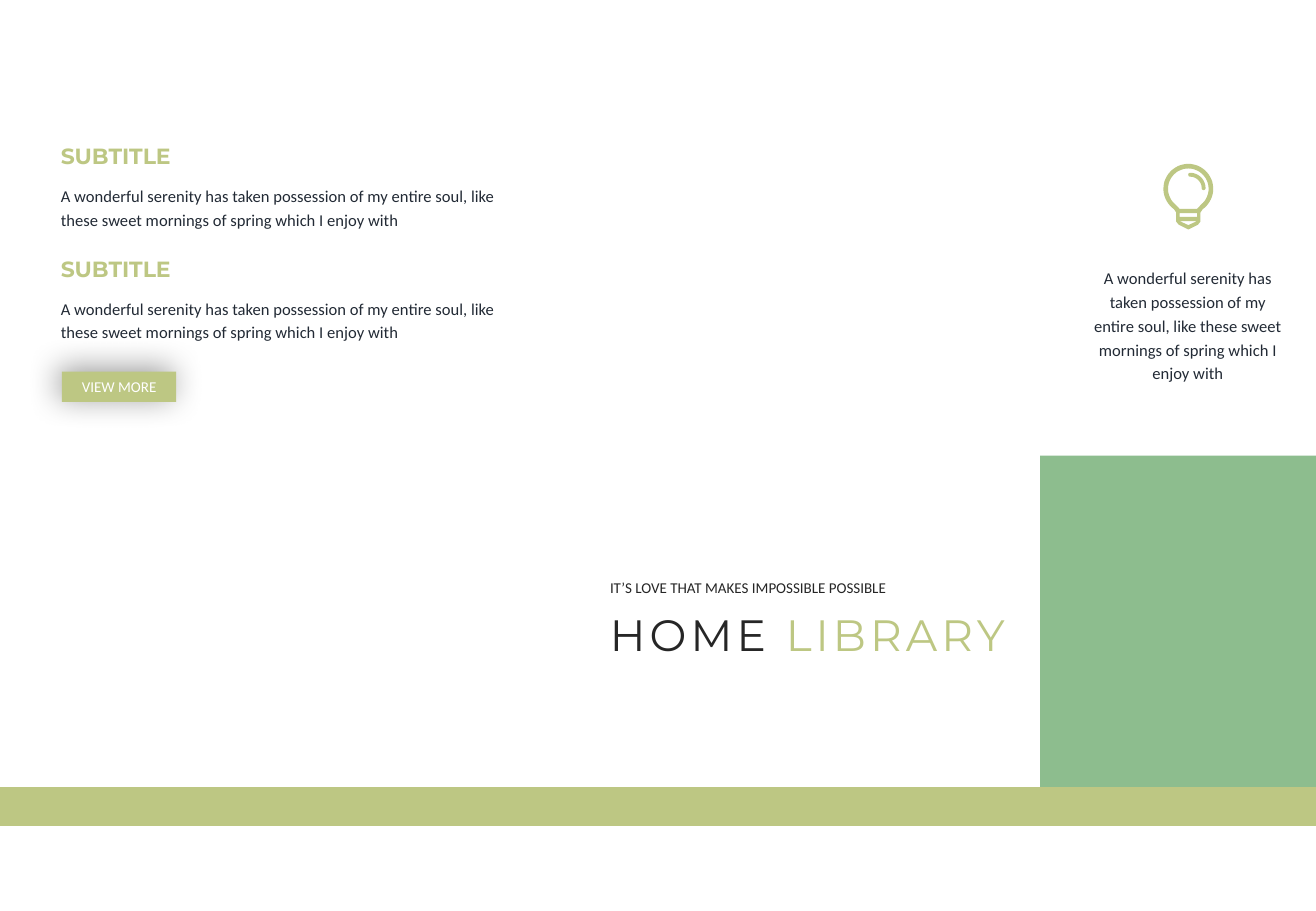
import dataclasses
import math

import lxml.etree
import pptx
import pptx.dml.color
import pptx.enum.shapes
import pptx.enum.text
import pptx.oxml.ns
import pptx.util

SLIDE_WIDTH = pptx.util.Inches(10.83)
SLIDE_HEIGHT = pptx.util.Inches(7.5)
COLORS = {"olive": "BDC783", "green": "8DBD8E", "ink": "262626",
          "navy": "222A35", "white": "FFFFFF", "black": "000000"}
SERENITY = ("A wonderful serenity has taken possession of my entire soul, like "
            "these sweet mornings of spring which I enjoy with")
LEFT_COLUMN, TITLE_COLUMN = 3.79, 45.52
SECTION_TOP, SECTION_STEP = 15.07, 12.4
MILS_PER_INCH = 1000


@dataclasses.dataclass(frozen=True)
class Area:
    left: float
    top: float
    width: float
    height: float

    def emu(self) -> tuple[int, int, int, int]:
        return (share_x(self.left), share_y(self.top),
                share_x(self.width), share_y(self.height))


@dataclasses.dataclass(frozen=True)
class Block:
    area: Area
    text: str
    look: dict


def share_x(percent: float) -> int:
    return round(SLIDE_WIDTH * percent / 100)


def share_y(percent: float) -> int:
    return round(SLIDE_HEIGHT * percent / 100)


def rgb(color: str) -> pptx.dml.color.RGBColor:
    return pptx.dml.color.RGBColor.from_string(COLORS[color])


def paint(shape, color: str) -> None:
    shape.shadow.inherit = False
    shape.fill.solid()
    shape.fill.fore_color.rgb = rgb(color)
    shape.line.fill.background()


def add_panel(slide, area: Area, color: str):
    panel = slide.shapes.add_shape(
        pptx.enum.shapes.MSO_SHAPE.RECTANGLE, *area.emu())
    paint(panel, color)
    return panel


def write(shape, text: str, *, size: float, color: str, font: str = "Calibri",
          bold: bool = False, centered: bool = False, leading: float = 1.0,
          tracking: float = 0, wrap: bool = True) -> None:
    frame = shape.text_frame
    frame.word_wrap = wrap
    frame.auto_size = pptx.enum.text.MSO_AUTO_SIZE.SHAPE_TO_FIT_TEXT
    frame.margin_left = frame.margin_right = pptx.util.Pt(6.5)
    frame.margin_top = frame.margin_bottom = pptx.util.Pt(3.25)
    paragraph = frame.paragraphs[0]
    align = pptx.enum.text.PP_ALIGN
    paragraph.alignment = align.CENTER if centered else align.LEFT
    paragraph.line_spacing = leading
    run = paragraph.add_run()
    run.text = text
    run.font.size = pptx.util.Pt(size)
    run.font.name = font
    run.font.bold = bold
    run.font.color.rgb = rgb(color)
    if tracking:
        run.font._element.set("spc", str(round(tracking * 100)))


def add_glow(shape, *, color: str, alpha: int, blur: float, distance: float,
             degrees: int) -> None:
    qn = pptx.oxml.ns.qn
    effects = shape._element.spPr.find(qn("a:effectLst"))
    shadow = lxml.etree.SubElement(
        effects, qn("a:outerShdw"), blurRad=str(pptx.util.Pt(blur)),
        dist=str(pptx.util.Pt(distance)), dir=str(degrees * 60000),
        algn="ctr", rotWithShape="0")
    tint = lxml.etree.SubElement(shadow, qn("a:srgbClr"), val=COLORS[color])
    lxml.etree.SubElement(tint, qn("a:alpha"), val=str(alpha * 1000))


def arc(radius: float, start: int, end: int, steps: int,
        center: tuple[int, int] = (0, 0)) -> list[tuple[float, float]]:
    angles = [math.radians(start + (end - start) * step / steps)
              for step in range(steps + 1)]
    return [(center[0] + radius * math.cos(angle),
             center[1] + radius * math.sin(angle)) for angle in angles]


def add_outline(group, contours: list[list[tuple[float, float]]],
                origin: tuple[int, int], color: str) -> None:
    builder = group.shapes.build_freeform(
        *contours[0][0], scale=pptx.util.Inches(1) / MILS_PER_INCH)
    for index, contour in enumerate(contours):
        if index:
            builder.move_to(*contour[0])
        builder.add_line_segments(contour[1:], close=True)
    paint(builder.convert_to_shape(*origin), color)


def add_bulb(slide, origin: tuple[int, int], color: str) -> None:
    base = [(100, 195), (100, 270), (80, 295), (0, 335),
            (-80, 295), (-100, 270), (-100, 195)]
    glass = arc(205, 125, 415, 48) + base
    hollow = arc(167, 130, 410, 48) + [(72, 165), (-72, 165)]
    ring = [(-72, 200), (72, 200), (72, 232), (-72, 232)]
    tip = [(-72, 266), (72, 266), (0, 299)]
    glint_center = (15, -5)
    glint = (arc(127, 270, 360, 12, glint_center)
             + arc(16, 0, 180, 6, (126, -5))
             + arc(95, 360, 270, 12, glint_center)
             + arc(16, 90, 270, 6, (15, -116)))
    icon = slide.shapes.add_group_shape()
    add_outline(icon, [glass, hollow, ring, tip], origin, color)
    add_outline(icon, [glint], origin, color)


def main() -> None:
    deck = pptx.Presentation()
    deck.slide_width, deck.slide_height = SLIDE_WIDTH, SLIDE_HEIGHT
    slide = deck.slides.add_slide(deck.slide_layouts[6])

    add_panel(slide, Area(79.04, 50, 20.96, 37.33), "green")
    add_panel(slide, Area(0, 86.4, 100, 4.27), "olive")

    title_look = dict(size=26, font="Montserrat", tracking=2.4)
    title = slide.shapes.add_textbox(*Area(TITLE_COLUMN, 66.13, 38.04, 7.2).emu())
    write(title, "HOME ", color="ink", **title_look)
    write(title, "LIBRARY", color="olive", **title_look)

    body_look = dict(size=9.8, color="navy", leading=1.2)
    subtitle_look = dict(size=13, color="olive", font="Montserrat", bold=True)
    blocks = [
        Block(Area(TITLE_COLUMN, 62.93, 23.27, 3.33),
              "IT’S LOVE THAT MAKES IMPOSSIBLE POSSIBLE",
              dict(size=8.9, color="ink", wrap=False)),
        Block(Area(81.9, 28.4, 16.71, 14.27), SERENITY,
              dict(body_look, centered=True)),
    ]
    for section in range(2):
        top = SECTION_TOP + section * SECTION_STEP
        blocks += [
            Block(Area(LEFT_COLUMN, top, 21.42, 4.27), "SUBTITLE", subtitle_look),
            Block(Area(LEFT_COLUMN, top + 4.27, 37.12, 6.4), SERENITY, body_look),
        ]
    for block in blocks:
        write(slide.shapes.add_textbox(*block.area.emu()), block.text, **block.look)

    view_more = add_panel(slide, Area(4.71, 40.8, 8.68, 3.33), "olive")
    add_glow(view_more, color="black", alpha=40, blur=19, distance=3, degrees=225)
    write(view_more, "VIEW MORE", size=8.9, color="white", centered=True)

    add_bulb(slide, (share_x(90.3), share_y(20.73)), "olive")
    deck.save("out.pptx")


if __name__ == "__main__":
    main()
